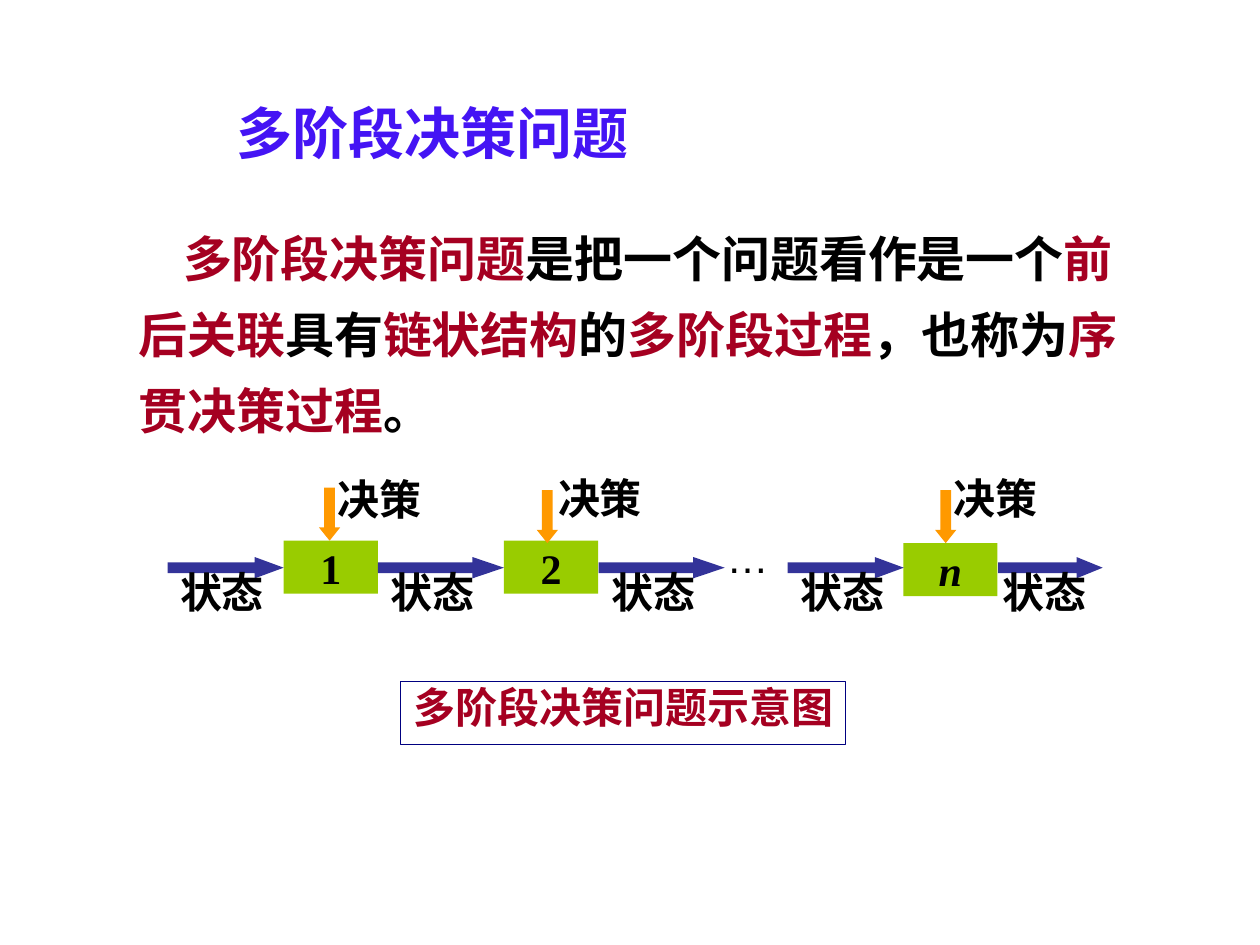
from dataclasses import dataclass

from lxml.etree import SubElement
from pptx import Presentation
from pptx.dml.color import RGBColor
from pptx.enum.shapes import MSO_SHAPE as Preset
from pptx.enum.text import MSO_ANCHOR as Anchor, MSO_AUTO_SIZE as AutoSize, PP_ALIGN as Align
from pptx.oxml.ns import qn
from pptx.util import Cm, Pt

CJK_FONT = "Noto Sans CJK SC"
BLACK, RED, VIOLET = "000000", "A50021", "4414F4"
GREEN, INDIGO, ORANGE, NAVY = "99CC00", "333399", "FF9900", "000080"
ARROW_THICKNESS = 0.43


@dataclass
class Box:
    left: float
    top: float
    width: float
    height: float

    def lengths(self) -> list:
        return [Cm(value) for value in (self.left, self.top, self.width, self.height)]


@dataclass
class TextStyle:
    size: int = 24
    color: str = BLACK
    font: str = CJK_FONT
    east_asian: str = CJK_FONT
    bold: bool = True
    italic: bool = False


@dataclass
class Stage:
    name: str
    box: Box
    decision_arrow: Box
    decision_label: Box


@dataclass
class Transition:
    left: float
    length: float
    label_left: float


STAGES = [
    Stage("1", Box(5.72, 10.9, 1.9, 1.07), Box(6.43, 9.83, ARROW_THICKNESS, 1.07), Box(6.55, 9.55, 2.54, 1.27)),
    Stage("2", Box(10.16, 10.9, 1.9, 1.07), Box(10.82, 9.88, ARROW_THICKNESS, 1.07), Box(11, 9.53, 2.54, 1.27)),
    Stage("n", Box(18.21, 10.95, 1.9, 1.07), Box(18.85, 9.88, ARROW_THICKNESS, 1.07), Box(18.97, 9.53, 2.54, 1.27)),
]
TRANSITIONS = [
    Transition(3.38, 2.34, 3.38),
    Transition(7.62, 2.54, 7.62),
    Transition(12.07, 2.54, 12.07),
    Transition(15.88, 2.34, 15.88),
    Transition(20.12, 2.11, 19.96),
]
DEFINITION = [
    ("多阶段决策问题", RED),
    ("是把一个问题看作是一个", BLACK),
    ("前后关联", RED),
    ("具有", BLACK),
    ("链状结构", RED),
    ("的", BLACK),
    ("多阶段过程", RED),
    ("，也称为", BLACK),
    ("序贯决策过程", RED),
    ("。", BLACK),
]


def rgb(color: str) -> RGBColor:
    return RGBColor.from_string(color)


def format_run(run, style: TextStyle) -> None:
    font = run.font
    font.size, font.bold, font.italic = Pt(style.size), style.bold, style.italic
    font.color.rgb = rgb(style.color)
    font.name = style.font
    SubElement(font._element, qn("a:ea")).set("typeface", style.east_asian)


def prepare_frame(shape, wrap: bool = True, anchor=Anchor.TOP, inset_top: float = 0):
    frame = shape.text_frame
    frame.auto_size = AutoSize.NONE
    frame.word_wrap = wrap
    frame.vertical_anchor = anchor
    frame.margin_left = frame.margin_right = Cm(0.25)
    frame.margin_top, frame.margin_bottom = Cm(inset_top), Cm(0)
    return frame


def write(frame, text: str, style: TextStyle, align=Align.LEFT) -> None:
    frame.text = text
    paragraph = frame.paragraphs[0]
    paragraph.alignment = align
    format_run(paragraph.runs[0], style)


def place(shape, box: Box) -> None:
    shape.left, shape.top, shape.width, shape.height = box.lengths()


def add_block(slide, preset, box: Box, fill: str):
    shape = slide.shapes.add_shape(preset, *box.lengths())
    shape.shadow.inherit = False
    shape.fill.solid()
    shape.fill.fore_color.rgb = rgb(fill)
    shape.line.fill.background()
    return shape


def add_arrow(slide, preset, box: Box, fill: str) -> None:
    arrow = add_block(slide, preset, box, fill)
    arrow.adjustments[0] = 0.5
    arrow.adjustments[1] = 0.25 * max(box.width, box.height) / ARROW_THICKNESS


def add_label(slide, text: str, box: Box, style: TextStyle, inset_top: float = 0) -> None:
    label = slide.shapes.add_textbox(*box.lengths())
    write(prepare_frame(label, inset_top=inset_top), text, style)


def add_definition(body) -> None:
    place(body, Box(2.54, 4.01, 20.96, 4.88))
    paragraph = prepare_frame(body, inset_top=0.23).paragraphs[0]
    properties = paragraph._p.get_or_add_pPr()
    properties.set("marL", "0")
    properties.set("indent", str(Cm(0.9)))
    SubElement(properties, qn("a:buNone"))
    paragraph.line_spacing = Pt(43.7)
    paragraph.space_before = Pt(0)
    for text, color in DEFINITION:
        run = paragraph.add_run()
        run.text = text
        format_run(run, TextStyle(28, color))


def add_stage(slide, stage: Stage) -> None:
    block = add_block(slide, Preset.RECTANGLE, stage.box, GREEN)
    style = TextStyle(font="Times New Roman", italic=stage.name.isalpha())
    write(prepare_frame(block, False, Anchor.MIDDLE), stage.name, style, Align.CENTER)
    add_arrow(slide, Preset.DOWN_ARROW, stage.decision_arrow, ORANGE)
    add_label(slide, "决策", stage.decision_label, TextStyle())


def add_transition(slide, transition: Transition) -> None:
    box = Box(transition.left, 11.23, transition.length, ARROW_THICKNESS)
    add_arrow(slide, Preset.RIGHT_ARROW, box, INDIGO)
    add_label(slide, "状态", Box(transition.label_left, 11.43, 2.34, 1.27), TextStyle())


def add_caption(slide) -> None:
    caption = slide.shapes.add_shape(Preset.RECTANGLE, *Box(8.08, 13.74, 8.97, 1.27).lengths())
    caption.shadow.inherit = False
    caption.fill.background()
    caption.line.color.rgb = rgb(NAVY)
    caption.line.width = Pt(0.75)
    write(prepare_frame(caption, False), "多阶段决策问题示意图", TextStyle(color=RED, font="Arial"))


def main() -> None:
    presentation = Presentation()
    presentation.slide_width, presentation.slide_height = Cm(25.4), Cm(19.05)
    slide = presentation.slides.add_slide(presentation.slide_layouts[1])
    title, body = slide.placeholders
    place(title, Box(4.52, 1.98, 16.89, 1.63))
    write(prepare_frame(title), "多阶段决策问题", TextStyle(32, VIOLET, "Times New Roman"))
    add_definition(body)
    for stage in STAGES:
        add_stage(slide, stage)
    for transition in TRANSITIONS:
        add_transition(slide, transition)
    add_label(slide, "…", Box(14.4, 10.59, 1.7, 1.27), TextStyle(font="Arial", east_asian="Arial", bold=False), 0.13)
    add_caption(slide)
    presentation.save("out.pptx")


if __name__ == "__main__":
    main()
